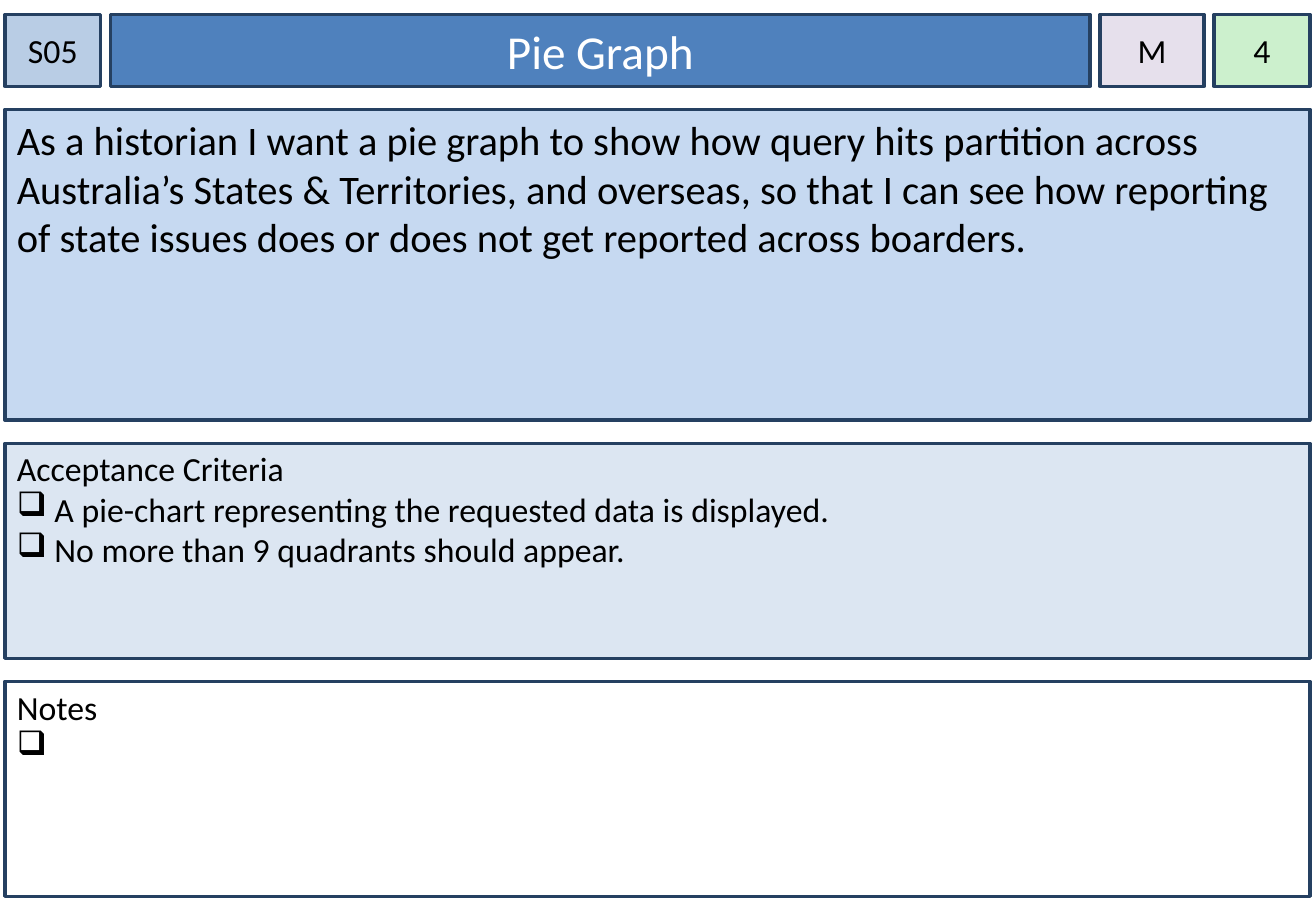
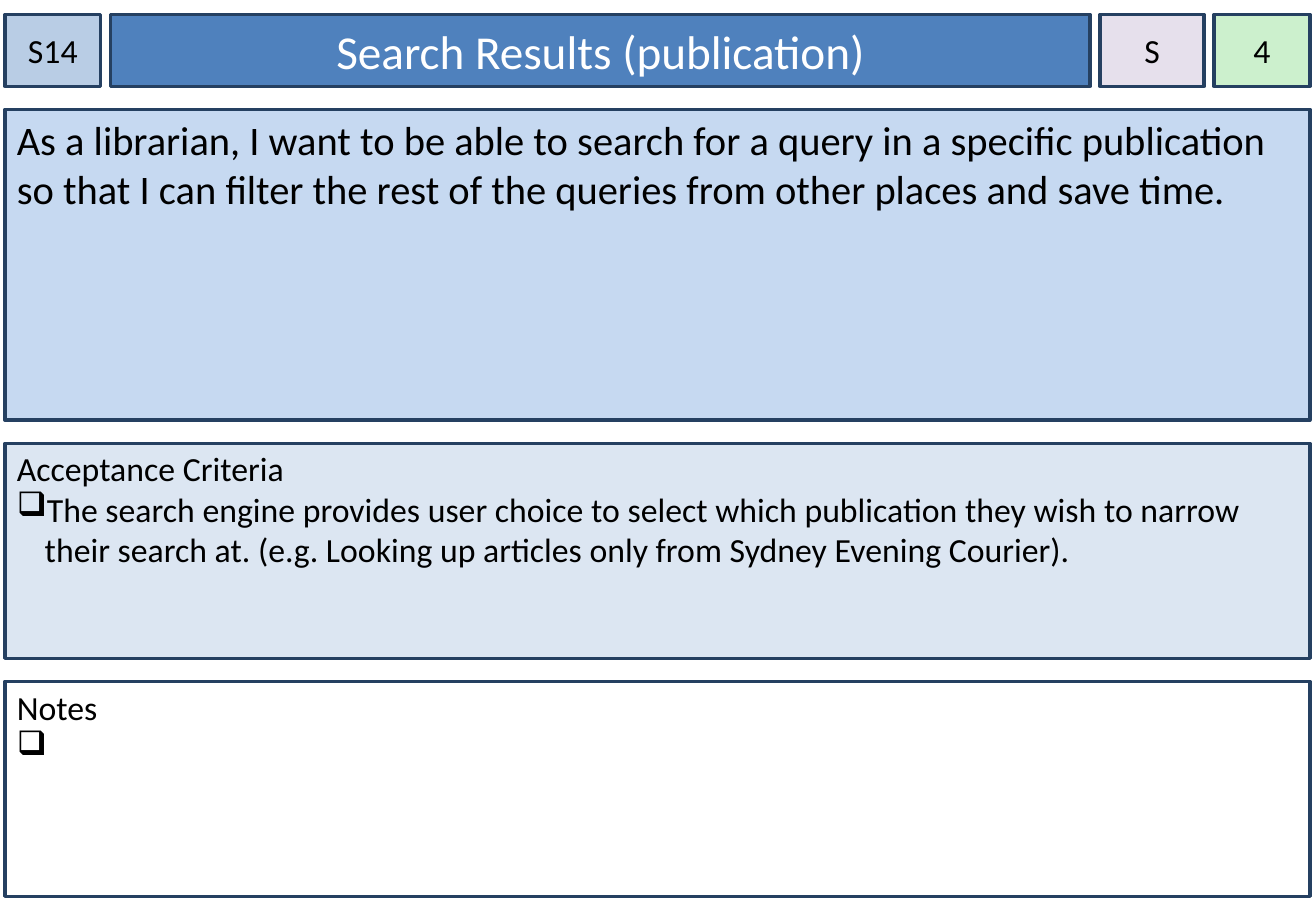
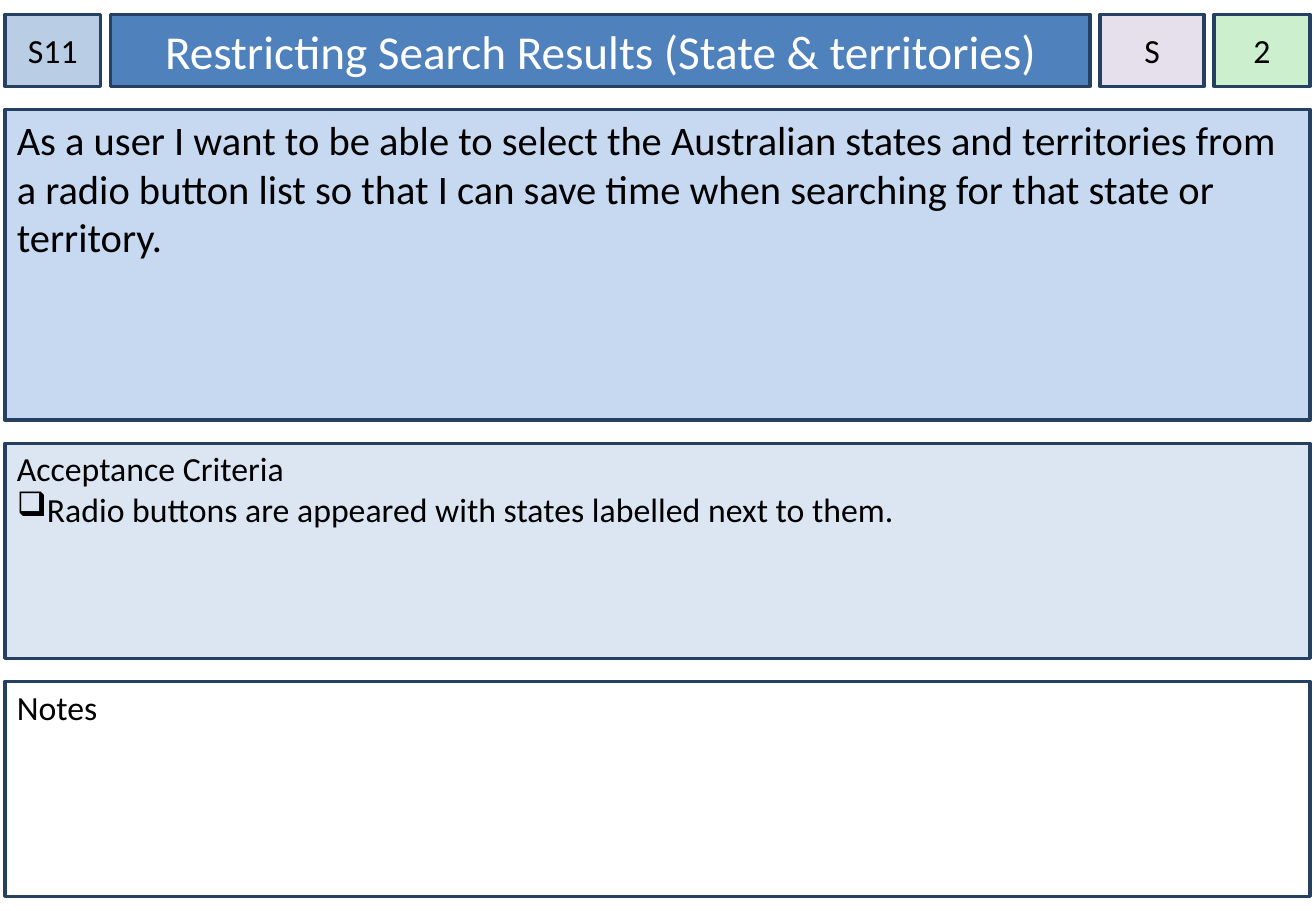
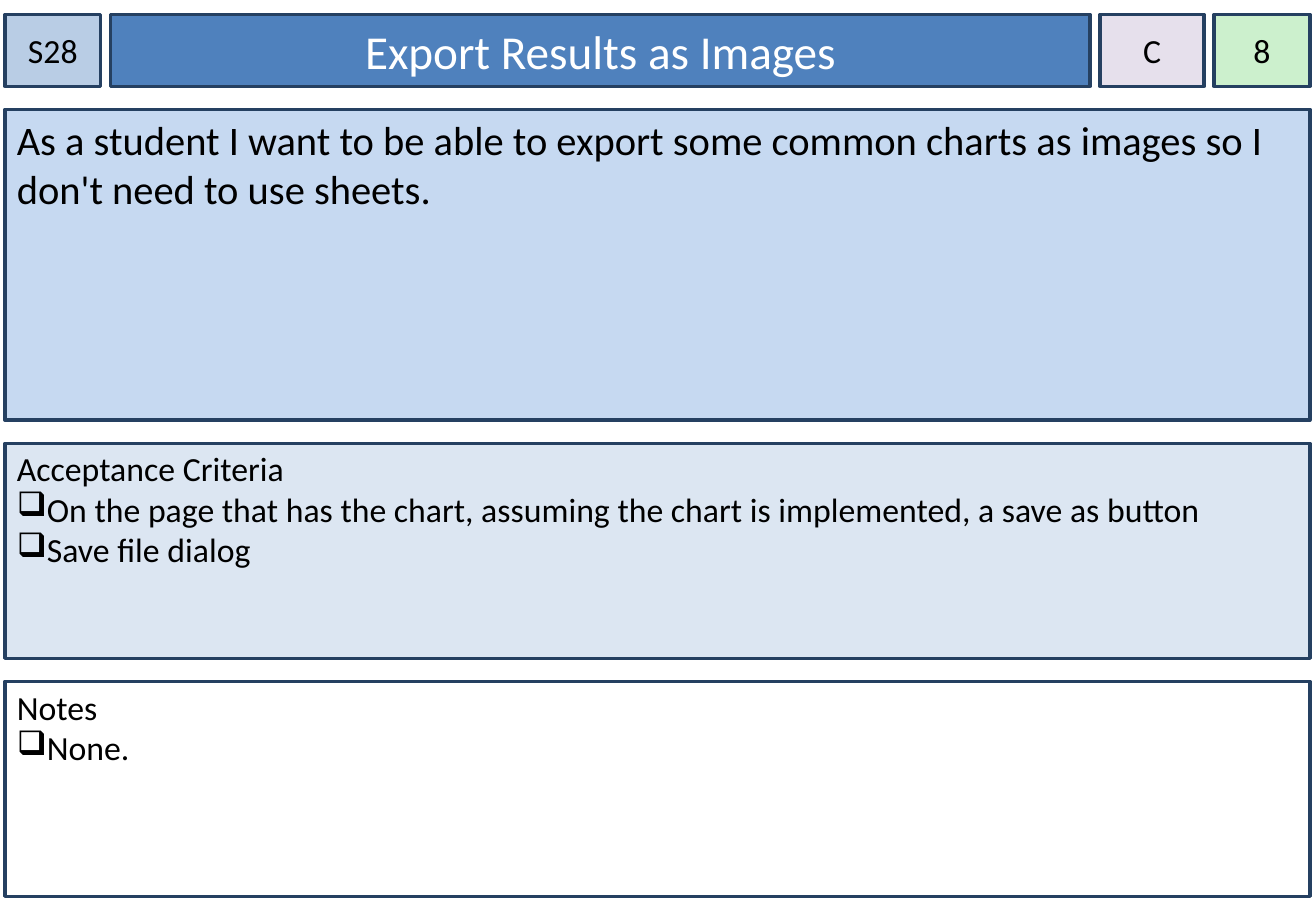
import pptx
import pptx.util
import pptx.dml.color
import pptx.enum.shapes
import pptx.enum.text
import pptx.oxml.ns
import lxml.etree

Inches = pptx.util.Inches
Pt = pptx.util.Pt
RGBColor = pptx.dml.color.RGBColor
ANCHOR = pptx.enum.text.MSO_ANCHOR
ALIGN = pptx.enum.text.PP_ALIGN

# Shared colours
NAVY = RGBColor(0x25, 0x40, 0x61)
BLACK = RGBColor(0x00, 0x00, 0x00)
WHITE = RGBColor(0xFF, 0xFF, 0xFF)
TITLE_BLUE = RGBColor(0x4F, 0x81, 0xBD)
ID_BLUE = RGBColor(0xB9, 0xCD, 0xE5)
STORY_BLUE = RGBColor(0xC6, 0xD9, 0xF1)
CRITERIA_BLUE = RGBColor(0xDC, 0xE6, 0xF2)
PRIORITY_LILAC = RGBColor(0xE6, 0xE0, 0xEC)
POINTS_GREEN = RGBColor(0xCC, 0xF0, 0xCD)

# Shared layout, in inches
LEFT, TOP, WIDTH = 0.04, 0.12, 10.75
COLUMN_GAP, ROW_GAP = 0.08, 0.19
ROW_HEIGHTS = (0.59, 2.56, 1.77, 1.77)
HEADER_WIDTHS = (0.79, 8.07, 0.86, 0.79)
BULLET, HANGING, WIDE_HANGING = "❑", 0.23, 0.31

# Text styles
BODY = {"name": "Calibri", "size": Pt(20), "bold": False}
STORY = {**BODY, "size": Pt(24)}
TITLE = {**BODY, "size": Pt(28)}

# Criteria and notes are lists of bullets; " " is a bullet still to be filled in
CARDS = [
    {"id": "S05", "title": "Pie Graph", "priority": "M", "points": "4",
     "story": "As a historian I want a pie graph to show how query hits partition "
              "across Australia’s States & Territories, and overseas, so that I can "
              "see how reporting of state issues does or does not get reported "
              "across boarders.",
     "criteria": ["A pie-chart representing the requested data is displayed.",
                  "No more than 9 quadrants should appear."],
     "notes": [" "], "hanging": WIDE_HANGING},
    {"id": "S14", "title": "Search Results (publication)", "priority": "S", "points": "4",
     "story": "As a librarian, I want to be able to search for a query in a specific "
              "publication so that I can filter the rest of the queries from other "
              "places and save time.",
     "criteria": ["The search engine provides user choice to select which publication "
                  "they wish to narrow their search at. (e.g. Looking up articles only "
                  "from Sydney Evening Courier)."],
     "notes": [" "]},
    {"id": "S11", "title": "Restricting Search Results (State & territories)",
     "priority": "S", "points": "2",
     "story": "As a user I want to be able to select the Australian states and "
              "territories from a radio button list so that I can save time when "
              "searching for that state or territory.",
     "criteria": ["Radio buttons are appeared with states labelled next to them."],
     "notes": []},
    {"id": "S28", "title": "Export Results as Images", "priority": "C", "points": "8",
     "story": "As a student I want to be able to export some common charts as images "
              "so I don't need to use sheets.",
     "criteria": ["On the page that has the chart, assuming the chart is implemented, "
                  "a save as button",
                  "Save file dialog"],
     "notes": ["None."]},
]


def spans(start, sizes, gap):
    """Return (start, size) pairs for parts laid out with equal gaps."""
    result = []
    for size in sizes:
        result.append((start, size))
        start += size + gap
    return result


def set_all(obj, values):
    for name, value in values.items():
        setattr(obj, name, value)


def add_panel(s, box):
    return s.shapes.add_shape(pptx.enum.shapes.MSO_SHAPE.RECTANGLE,
                              *[Inches(v) for v in box])


def format_panel(sp, fill, side=0.1, top=0.05, anchor=ANCHOR.TOP):
    sp.fill.solid()
    sp.fill.fore_color.rgb = fill
    sp.line.color.rgb = NAVY
    sp.line.width = Pt(2)
    set_all(sp.text_frame, {
        "word_wrap": True, "auto_size": pptx.enum.text.MSO_AUTO_SIZE.NONE,
        "vertical_anchor": anchor,
        "margin_left": Inches(side), "margin_right": Inches(side),
        "margin_top": Inches(top), "margin_bottom": Inches(0.05)})


def write(p, text, style, color=BLACK, align=ALIGN.LEFT):
    p.alignment = align
    r = p.add_run()
    r.text = text
    set_all(r.font, style)
    r.font.color.rgb = color


def add_bullet(p, hanging):
    pPr = p._p.get_or_add_pPr()
    pPr.set("marL", str(Inches(hanging)))
    pPr.set("indent", str(-Inches(hanging)))
    bu = lxml.etree.SubElement(pPr, pptx.oxml.ns.qn("a:buChar"))
    bu.set("char", BULLET)


def add_tag(s, box, text, fill):
    """Small centred cell of the header row."""
    sp = add_panel(s, box)
    sp.shadow.inherit = False
    format_panel(sp, fill, side=0, anchor=ANCHOR.MIDDLE)
    write(sp.text_frame.paragraphs[0], text, BODY, align=ALIGN.CENTER)


def add_title(s, box, text):
    sp = s.shapes.title
    set_all(sp, dict(zip(("left", "top", "width", "height"),
                         [Inches(v) for v in box])))
    format_panel(sp, TITLE_BLUE, anchor=ANCHOR.MIDDLE)
    write(sp.text_frame.paragraphs[0], text, TITLE, WHITE, ALIGN.CENTER)


def add_header(s, box, card):
    left, top, _, height = box
    cells = [(x, top, w, height) for x, w in spans(left, HEADER_WIDTHS, COLUMN_GAP)]
    add_tag(s, cells[0], card["id"], ID_BLUE)
    add_title(s, cells[1], card["title"])
    add_tag(s, cells[2], card["priority"], PRIORITY_LILAC)
    add_tag(s, cells[3], card["points"], POINTS_GREEN)


def add_story(s, box, text):
    sp = add_panel(s, box)
    sp.shadow.inherit = False
    format_panel(sp, STORY_BLUE)
    write(sp.text_frame.paragraphs[0], text, STORY)


def add_checklist(s, box, heading, items, fill, hanging):
    sp = add_panel(s, box)
    sp.shadow.inherit = False
    format_panel(sp, fill, top=0.04)
    tf = sp.text_frame
    write(tf.paragraphs[0], heading, BODY)
    for item in items:
        p = tf.add_paragraph()
        add_bullet(p, hanging)
        write(p, item, BODY)


def add_card(prs, card):
    s = prs.slides.add_slide(prs.slide_layouts[5])
    header, story, criteria, notes = [
        (LEFT, y, WIDTH, h) for y, h in spans(TOP, ROW_HEIGHTS, ROW_GAP)]
    hanging = card.get("hanging", HANGING)
    add_header(s, header, card)
    add_story(s, story, card["story"])
    add_checklist(s, criteria, "Acceptance Criteria", card["criteria"],
                  CRITERIA_BLUE, hanging)
    add_checklist(s, notes, "Notes", card["notes"], WHITE, hanging)


def main():
    prs = pptx.Presentation()
    prs.slide_width, prs.slide_height = Inches(10.84), Inches(7.5)
    for card in CARDS:
        add_card(prs, card)
    prs.save("out.pptx")


if __name__ == "__main__":
    main()
